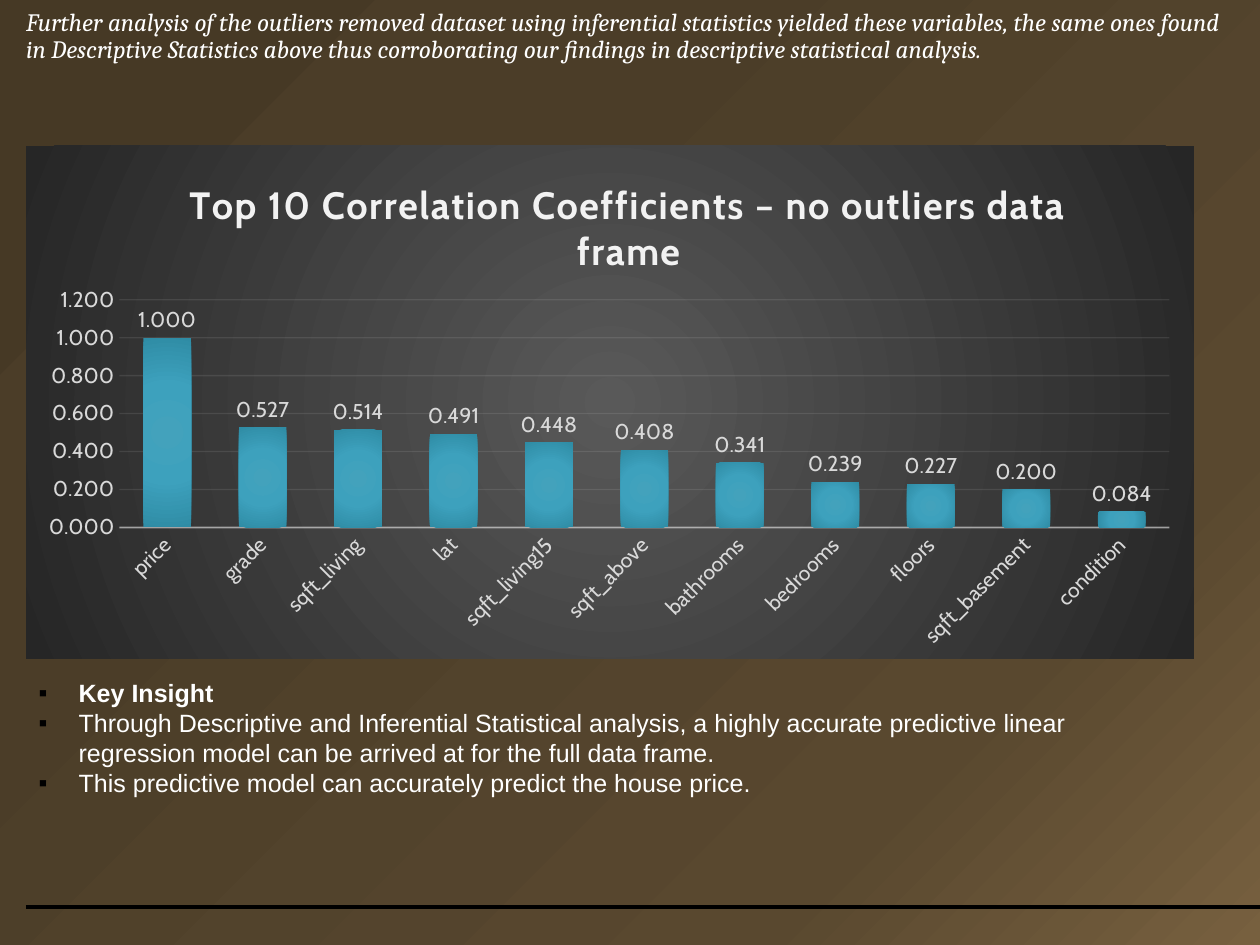
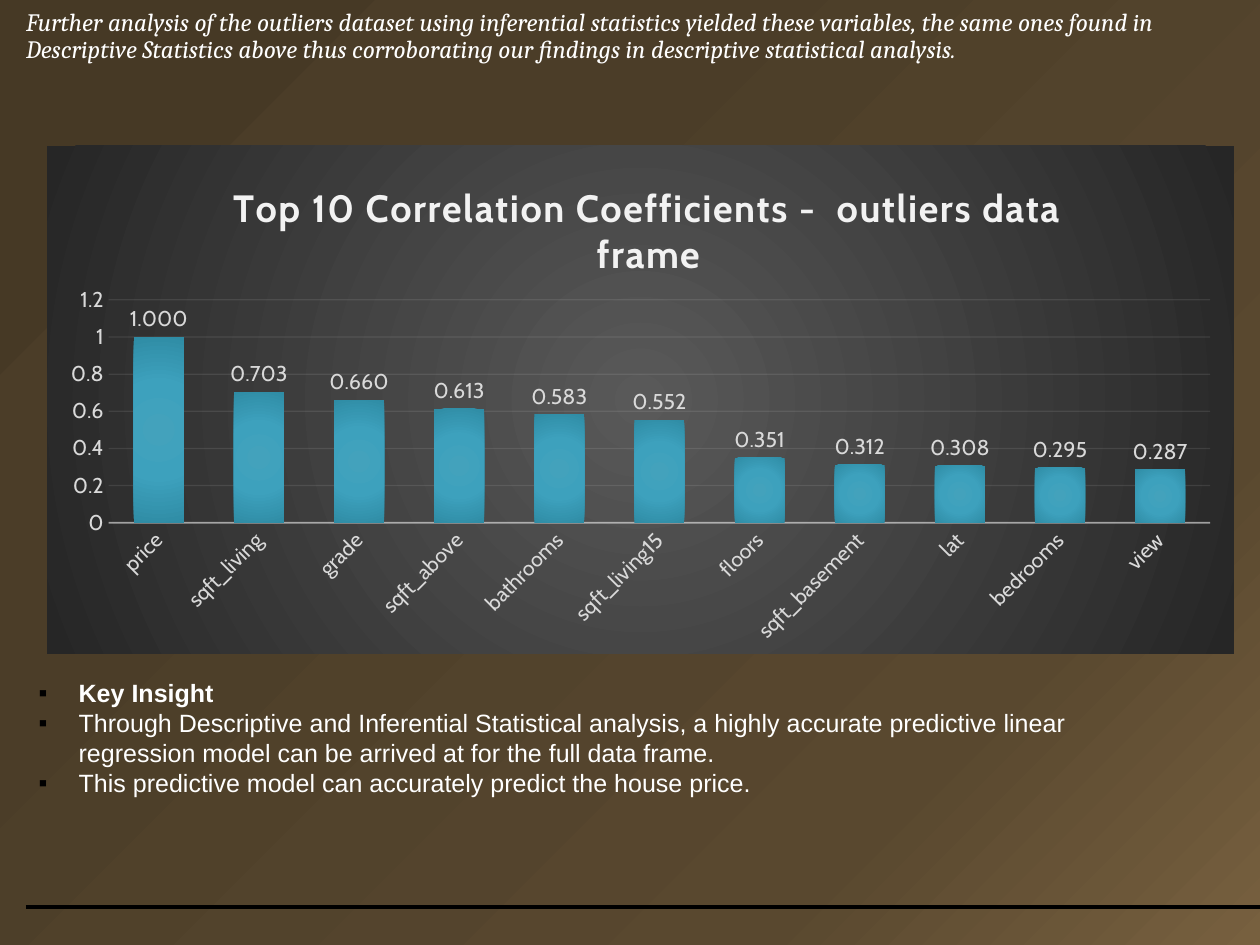
import pptx
import pptx.util
import pptx.dml.color
import pptx.chart.data
import pptx.enum.chart
import pptx.enum.shapes
import pptx.enum.text
from lxml import etree

PX = 7112
WIDE, HIGH = 1260, 945
NS = "http://schemas.openxmlformats.org/drawingml/2006/main"
HUES = {"white": "FFFFFF", "black": "000000", "label": "D9D9D9", "pale": "F2F2F2"}
BACK = [(0, "77603F"), (23, "59482F"), (69, "4B3D28"), (97, "463925")]
PANEL = [(0, "595959"), (100, "262626")]
BARS = [(0, "43A2BC"), (50, "3DA1BD"), (100, "2F8CA5")]
NOTES = [
    "Key Insight",
    "Through Descriptive and Inferential Statistical analysis, a highly accurate "
    "predictive linear regression model can be arrived at for the full data frame.",
    "This predictive model can accurately predict the house price.",
]
LEAD = (
    "Further analysis of the {} using inferential statistics yielded these variables, "
    "the same ones found in Descriptive Statistics above thus corroborating our "
    "findings in descriptive statistical analysis."
)
PAGES = [
    {
        "data": "outliers removed dataset",
        "head": (26, 10, 1212, 82),
        "box": (26, 146, 1168, 513),
        "plot": (94, 154, 1050, 228),
        "name": (157, 26),
        "title": "Top 10 Correlation Coefficients – no outliers data frame",
        "form": "0.000",
        "vals": {
            "price": 1, "grade": 0.527, "sqft_living": 0.514, "lat": 0.491,
            "sqft_living15": 0.448, "sqft_above": 0.408, "bathrooms": 0.341,
            "bedrooms": 0.239, "floors": 0.227, "sqft_basement": 0.2,
            "condition": 0.084,
        },
    },
    {
        "data": "outliers dataset",
        "head": (26, 10, 1212, 54),
        "box": (47, 146, 1187, 508),
        "plot": (62, 154, 1102, 223),
        "name": (179, 29),
        "title": "Top 10 Correlation Coefficients -  outliers data frame",
        "form": "General",
        "vals": {
            "price": 1, "sqft_living": 0.703, "grade": 0.66, "sqft_above": 0.613,
            "bathrooms": 0.583, "sqft_living15": 0.552, "floors": 0.351,
            "sqft_basement": 0.312, "lat": 0.308, "bedrooms": 0.295, "view": 0.287,
        },
    },
]


def px(*nums):
    """Turn pixel lengths into EMU."""
    return [num * PX for num in nums]


def hue(key):
    """Look up a named colour."""
    return pptx.dml.color.RGBColor.from_string(HUES[key])


def sub(top, tag, **atts):
    """Add a drawing element to a parent."""
    return etree.SubElement(top, f"{{{NS}}}{tag}", atts)


def blend(stops, to):
    """Make a radial gradient fill that closes on a rectangle."""
    fill = etree.Element(f"{{{NS}}}gradFill", rotWithShape="1")
    row = sub(fill, "gsLst")
    for pos, code in stops:
        sub(sub(row, "gs", pos=str(pos * 1000)), "srgbClr", val=code)
    way = sub(fill, "path", **{"path": "circle"})
    sub(way, "fillToRect", **{side: str(part * 1000) for side, part in zip("ltrb", to)})
    return fill


def style(font, face, size, key, bold=False, slant=False):
    """Set every trait of a font."""
    font.name, font.size = face, pptx.util.Pt(size)
    font.bold, font.italic = bold, slant
    font.color.rgb = hue(key)


def paint(deck):
    """Give the master its gradient background."""
    root = deck.slide_master
    root.background.fill.solid()
    part = root.element.xpath(".//p:bgPr")[0]
    part.replace(part[0], blend(BACK, (100, 100, 0, 0)))


def head(slide, box, text):
    """Place and format the title."""
    title = slide.shapes.title
    title.left, title.top, title.width, title.height = px(*box)
    frame = title.text_frame
    frame.margin_left = frame.margin_right = frame.margin_top = frame.margin_bottom = 0
    frame.word_wrap = True
    frame.auto_size = pptx.enum.text.MSO_AUTO_SIZE.NONE
    frame.vertical_anchor = pptx.enum.text.MSO_ANCHOR.TOP
    para = frame.paragraphs[0]
    para.alignment = pptx.enum.text.PP_ALIGN.LEFT
    para.line_spacing = 0.9
    run = para.add_run()
    run.text = text
    style(run.font, "Cambria", 14, "white", slant=True)


def rule(slide, left, top, right):
    """Draw the footer line."""
    kind = pptx.enum.shapes.MSO_CONNECTOR.STRAIGHT
    line = slide.shapes.add_connector(kind, *px(left, top, right, top))
    line.line.color.rgb = hue("black")
    line.line.width = pptx.util.Pt(2)
    sub(line.element.spPr, "effectLst")


def notes(slide, box):
    """Write the bulleted insights."""
    frame = slide.shapes.add_textbox(*px(*box)).text_frame
    frame.word_wrap = True
    for num, text in enumerate(NOTES):
        para = frame.add_paragraph() if num else frame.paragraphs[0]
        prop = para._p.get_or_add_pPr()
        prop.set("marL", str(40 * PX))
        prop.set("indent", str(-40 * PX))
        sub(sub(prop, "buClr"), "srgbClr", val=HUES["black"])
        sub(prop, "buFont", typeface="Arial")
        sub(prop, "buChar", char="▪")
        run = para.add_run()
        run.text = text
        style(run.font, "Arial", 14, "white", bold=num == 0)


def place(host, box, size, inner=False):
    """Fix a chart part at a box within the chart."""
    old = host.find(pptx.oxml.ns.qn("c:layout"))
    if old is not None:
        host.remove(old)
    lay = pptx.oxml.parse_xml(f"<c:layout {pptx.oxml.ns.nsdecls('c')}><c:manualLayout/></c:layout>")
    pairs = [("layoutTarget", "inner")] if inner else []
    pairs += [("xMode", "edge"), ("yMode", "edge")]
    pairs += [(key, f"{num / full:.3f}") for key, num, full in zip("xywh", box, size * 2)]
    for tag, val in pairs:
        etree.SubElement(lay[0], pptx.oxml.ns.qn("c:" + tag)).set("val", val)
    text = host.find(pptx.oxml.ns.qn("c:tx"))
    if text is None:
        host.insert(0, lay)
    else:
        text.addnext(lay)


def graph(slide, page):
    """Build the column chart on its dark panel."""
    data = pptx.chart.data.CategoryChartData(number_format="0.000")
    data.categories = list(page["vals"])
    data.add_series("Series 1", list(page["vals"].values()))
    kind = pptx.enum.chart.XL_CHART_TYPE.COLUMN_CLUSTERED
    chart = slide.shapes.add_chart(kind, *px(*page["box"]), data).chart
    root = chart.element
    style(chart.font, "Cabin", 10, "black")
    chart.has_legend = False
    chart.has_title = True
    run = chart.chart_title.text_frame.paragraphs[0].add_run()
    run.text = page["title"]
    style(run.font, "Cabin", 21.3, "pale", bold=True)
    run.font._element.set("spc", "100")
    chart.chart_title.include_in_layout = False

    plot = chart.plots[0]
    plot.gap_width, plot.overlap, plot.vary_by_categories = 100, -24, False
    plot.has_data_labels = True
    tags = plot.data_labels
    tags.show_value = True
    tags.number_format, tags.number_format_is_linked = "0.000", False
    tags.position = pptx.enum.chart.XL_LABEL_POSITION.OUTSIDE_END
    style(tags.font, "Cabin", 12, "label")
    plot.series[0].format.line.fill.background()
    root.xpath(".//c:ser/c:spPr")[0].insert(0, blend(BARS, (100,) * 4))

    cat, val = chart.category_axis, chart.value_axis
    for axis in (cat, val):
        axis.major_tick_mark = axis.minor_tick_mark = pptx.enum.chart.XL_TICK_MARK.NONE
        style(axis.tick_labels.font, "Cabin", 12, "label")
    root.xpath(".//c:catAx/c:txPr/a:bodyPr")[0].set("rot", "-2700000")
    val.minimum_scale, val.maximum_scale, val.major_unit = 0, 1.2, 0.2
    val.tick_labels.number_format = page["form"]
    val.tick_labels.number_format_is_linked = False
    val.format.line.fill.background()
    val.has_major_gridlines = True
    for host, tag, wide, show in (
        (cat, "catAx/c:spPr", 1, 54),
        (val.major_gridlines, "majorGridlines", 0.75, 10),
    ):
        host.format.line.color.rgb = hue("pale")
        host.format.line.width = pptx.util.Pt(wide)
        tint = root.xpath(f".//c:{tag}//a:srgbClr")[0]
        sub(tint, "alpha", val=str(show * 1000))

    size = page["box"][2:]
    place(root.xpath(".//c:chart/c:title")[0], page["name"], size)
    place(root.xpath(".//c:plotArea")[0], page["plot"], size, True)
    area = pptx.oxml.parse_xml(f"<c:spPr {pptx.oxml.ns.nsdecls('c', 'a')}/>")
    area.append(blend(PANEL, (50,) * 4))
    sub(sub(area, "ln"), "noFill")
    root.xpath("./c:chart")[0].addnext(area)


def main():
    """Build and save the deck."""
    deck = pptx.Presentation()
    deck.slide_width, deck.slide_height = px(WIDE, HIGH)
    paint(deck)
    for page in PAGES:
        slide = deck.slides.add_slide(deck.slide_layouts[5])
        head(slide, page["head"], LEAD.format(page["data"]))
        rule(slide, 26, 907, WIDE)
        notes(slide, (26, 671, 1116, 225))
        graph(slide, page)
    deck.save("out.pptx")


if __name__ == "__main__":
    main()
